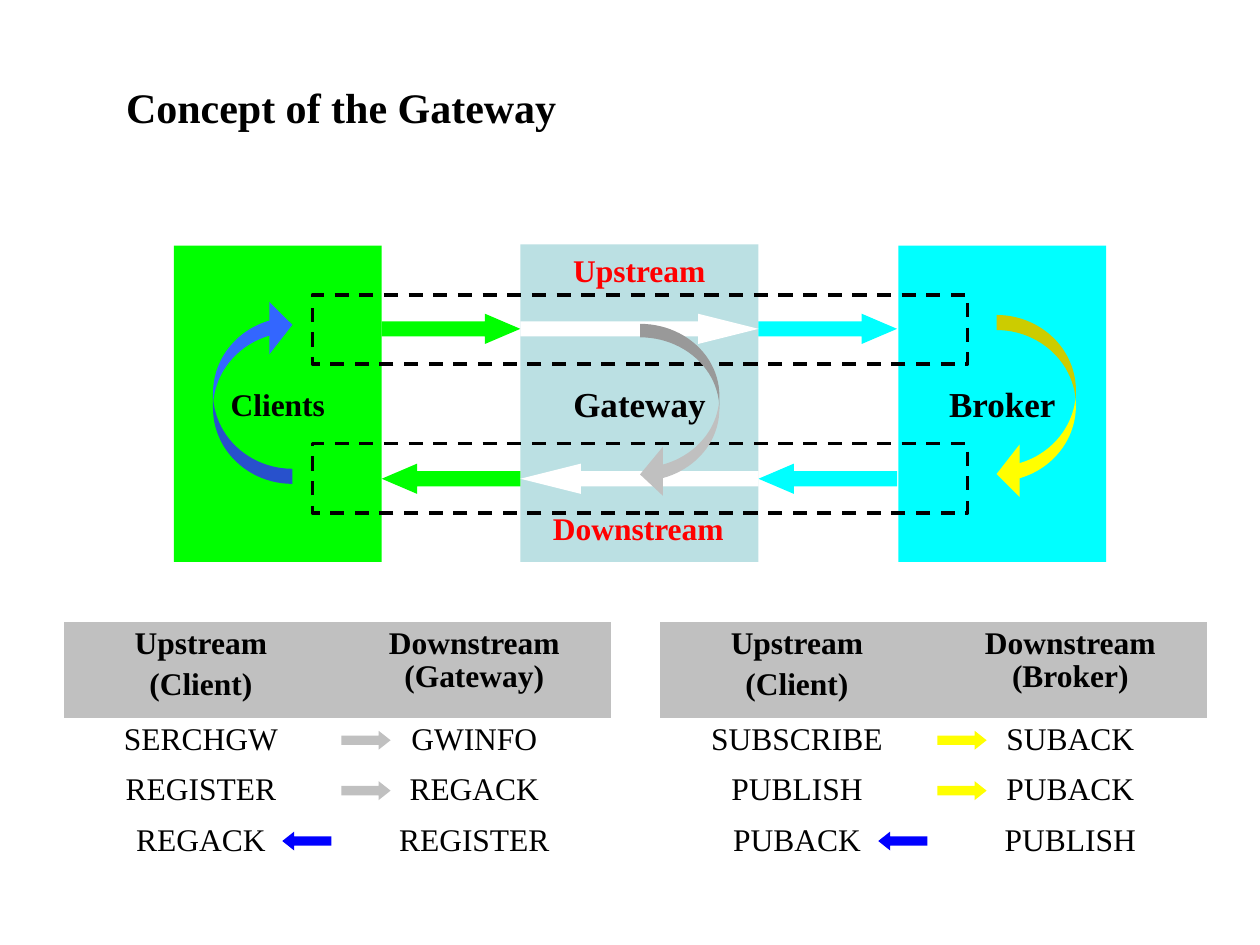
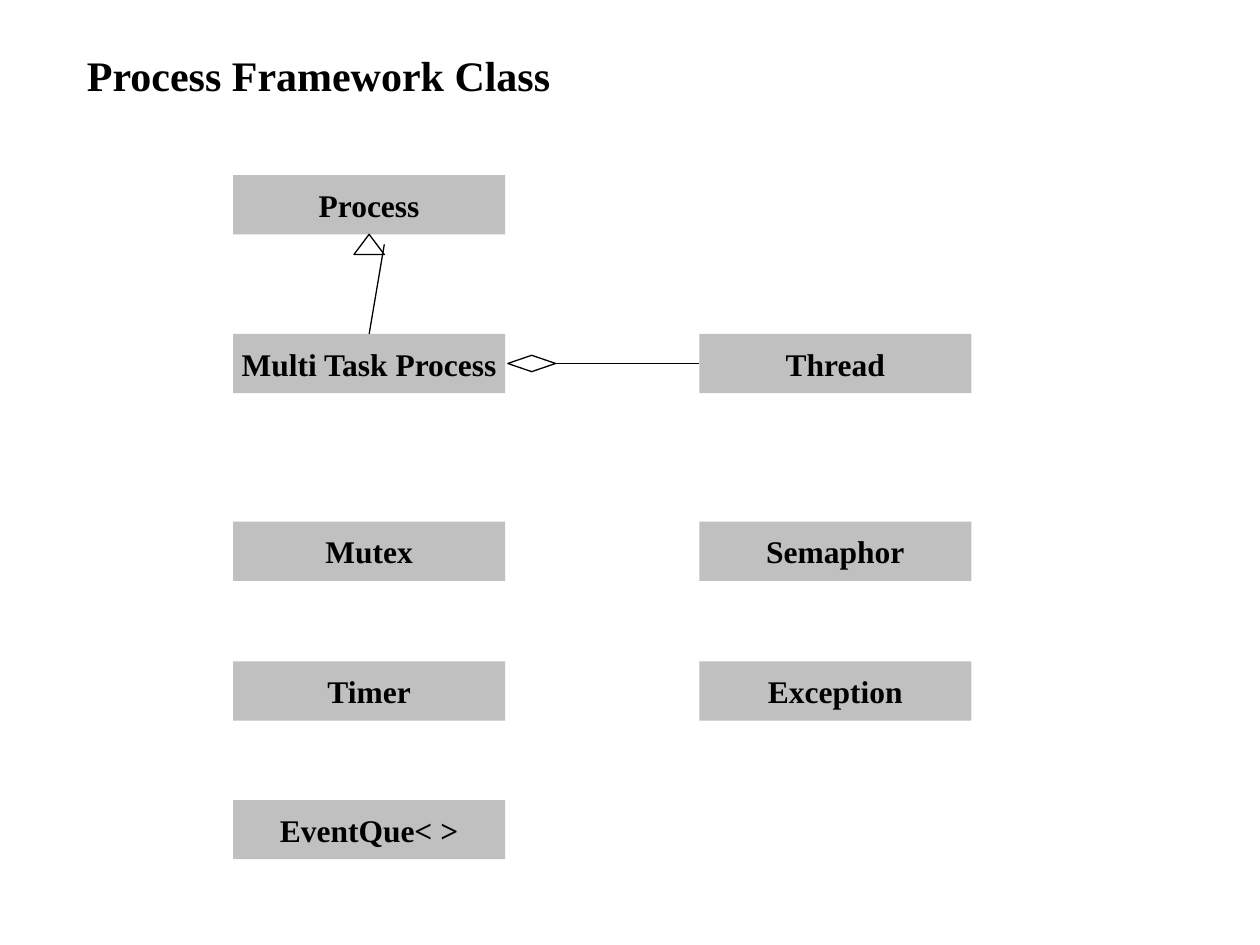
from lxml import etree
from pptx import Presentation
from pptx.dml.color import RGBColor
from pptx.enum import dml, shapes, text
from pptx.oxml import ns
from pptx.util import Inches, Pt

FONT = "Times New Roman"
BLACK = RGBColor(0, 0, 0)
WHITE = RGBColor(255, 255, 255)
GRAY = RGBColor(0xC0, 0xC0, 0xC0)
RED = RGBColor(255, 0, 0)
GREEN = RGBColor(0, 255, 0)
CYAN = RGBColor(0, 255, 255)
PALE = RGBColor(0xBB, 0xE0, 0xE3)
YELLOW = RGBColor(255, 255, 0)
BLUE = RGBColor(0, 0, 255)
AZURE = RGBColor(0x33, 0x66, 0xFF)
NO_GRID = "{2D5ABB26-0587-4C30-8999-92F81FD0307C}"

KIND = shapes.MSO_SHAPE
RECT, RIGHT, LEFT = KIND.RECTANGLE, KIND.RIGHT_ARROW, KIND.LEFT_ARROW
CENTER = text.PP_ALIGN.CENTER

NODES = [
    ("Clients", 1.38, 1.95, 1.65, 2.51, GREEN, 18),
    ("Broker", 7.13, 1.95, 1.65, 2.51, CYAN, 20),
    ("Gateway", 4.13, 1.94, 1.89, 2.52, PALE, 20),
]
LANES = [(RIGHT, 2.49, 2.34), (LEFT, 3.68, 3.52)]
HOPS = [(3.03, 1.1, GREEN, 1.17), (6.02, 1.1, CYAN, 1.17), (4.13, 1.89, WHITE, 2)]
LABELS = [("Upstream", 4.45, 1.94, 1.97), ("Downstream", 4.29, 3.99, 2.2)]
TURNS = [
    (7.91, 2.5, 1.47, YELLOW, 0, (0.19, 0.66, 0.29)),
    (1.69, 2.37, 1.47, AZURE, 180, (0.19, 0.66, 0.29)),
    (5.08, 2.57, 1.39, GRAY, 0, (0.17, 0.62, 0.29)),
]
TABLES = [
    (5.24, YELLOW, [
        ("Upstream\n(Client)", "Downstream\v(Broker)"),
        ("SUBSCRIBE", "SUBACK"),
        ("PUBLISH", "PUBACK"),
        ("PUBACK", "PUBLISH"),
    ]),
    (0.51, GRAY, [
        ("Upstream\n(Client)", "Downstream\v(Gateway)"),
        ("SERCHGW", "GWINFO"),
        ("REGISTER", "REGACK"),
        ("REGACK", "REGISTER"),
    ]),
]
TABLE_TOP, HEAD, ROW, COL = 4.94, 0.76, 0.4, 2.17

COLS = (1.85, 5.55)
CLASSES = [
    (1.39, ["Process"]),
    (2.65, ["Multi Task Process", "Thread"]),
    (4.14, ["Mutex", "Semaphor"]),
    (5.25, ["Timer", "Exception"]),
    (6.35, ["EventQue< >"]),
]


def write(frame, words, size=18, color=BLACK, bold=True, align=None, gap=None, lead=None):
    for i, line in enumerate(words.split("\n")):
        para = frame.add_paragraph() if i else frame.paragraphs[0]
        para.text = line
        para.alignment = align
        para.space_before = gap
        para.line_spacing = lead
        for run in para.runs:
            font = run.font
            font.name, font.size, font.bold = FONT, Pt(size), bold
            font.color.rgb = color


def place(x, y, w, h):
    return [Inches(n) for n in (x, y, w, h)]


def draw(slide, kind, box, fill=None, line=None, width=0.75, turn=0, adjust=()):
    shape = slide.shapes.add_shape(kind, *place(*box))
    shape.shadow.inherit = False
    shape.rotation = turn
    for i, value in enumerate(adjust):
        shape.adjustments[i] = value
    if fill is None:
        shape.fill.background()
    else:
        shape.fill.solid()
        shape.fill.fore_color.rgb = fill
    if line is None:
        shape.line.fill.background()
    else:
        shape.line.color.rgb = line
        shape.line.width = Pt(width)
    return shape


def block(slide, words, box, fill, size=18):
    shape = draw(slide, RECT, box, fill)
    frame = shape.text_frame
    frame.word_wrap = False
    frame.vertical_anchor = text.MSO_ANCHOR.MIDDLE
    write(frame, words, size=size, align=CENTER)
    return shape


def begin(deck, words, box):
    slide = deck.slides.add_slide(deck.slide_layouts[5])
    title = slide.shapes.title
    title.left, title.top, title.width, title.height = place(*box)
    frame = title.text_frame
    frame.word_wrap = False
    frame.auto_size = text.MSO_AUTO_SIZE.NONE
    frame.vertical_anchor = text.MSO_ANCHOR.TOP
    write(frame, words, size=24, align=text.PP_ALIGN.LEFT)
    return slide


def link(slide, start, site, end, goal):
    line = slide.shapes.add_connector(shapes.MSO_CONNECTOR.STRAIGHT, 0, 0, 0, 0)
    line.begin_connect(start, site)
    line.end_connect(end, goal)
    line.line.color.rgb = BLACK
    line.line.width = Pt(0.75)
    props = line._element.find(ns.qn("p:spPr"))
    etree.SubElement(props, ns.qn("a:effectLst"))


def grid(slide, x, color, rows):
    box = place(x, TABLE_TOP, 2 * COL, HEAD + 3 * ROW)
    table = slide.shapes.add_table(len(rows), 2, *box).table
    table.first_row = table.horz_banding = False
    table._tbl.tblPr.find(ns.qn("a:tableStyleId")).text = NO_GRID
    for r, row in enumerate(rows):
        table.rows[r].height = Inches(ROW if r else HEAD)
        for c, words in enumerate(row):
            cell = table.cell(r, c)
            if r:
                cell.fill.background()
            else:
                cell.fill.solid()
                cell.fill.fore_color.rgb = GRAY
            write(cell.text_frame, words, bold=r == 0, align=CENTER,
                  gap=Pt(4.5), lead=0.93)
    first = TABLE_TOP + HEAD + 0.1
    marks = [(2.2, color, RIGHT), (2.2, color, RIGHT), (1.73, BLUE, LEFT)]
    for i, (shift, fill, kind) in enumerate(marks):
        draw(slide, kind, (x + shift, first + i * ROW, 0.39, 0.15), fill,
             adjust=(0.5, 0.63))


def gateway(deck):
    slide = begin(deck, "Concept of the Gateway", (0.9, 0.6, 4.17, 0.5))
    for name, x, y, w, h, fill, size in NODES:
        block(slide, name, (x, y, w, h), fill, size)
    for kind, y, _ in LANES:
        for x, w, fill, tip in HOPS:
            draw(slide, kind, (x, y, w, 0.24), fill, adjust=(0.5, tip))
    for _, _, y in LANES:
        lane = draw(slide, RECT, (2.48, y, 5.2, 0.55), line=BLACK, width=2)
        lane.line.dash_style = dml.MSO_LINE.DASH
    for words, x, y, w in LABELS:
        frame = slide.shapes.add_textbox(*place(x, y, w, 0.4)).text_frame
        frame.word_wrap = True
        write(frame, words, color=RED)
    for x, y, h, fill, turn, adjust in TURNS:
        draw(slide, KIND.CURVED_LEFT_ARROW, (x, y, 0.63, h), fill,
             turn=turn, adjust=adjust)
    for x, color, rows in TABLES:
        grid(slide, x, color, rows)


def classes(deck):
    slide = begin(deck, "Process Framework Class", (0.59, 0.34, 3.88, 0.5))
    made = {}
    for y, names in CLASSES:
        for x, name in zip(COLS, names):
            made[name] = block(slide, name, (x, y, 2.16, 0.47), GRAY)
    task = made["Multi Task Process"]
    head = draw(slide, KIND.ISOSCELES_TRIANGLE, (2.81, 1.86, 0.24, 0.16), WHITE, BLACK)
    link(slide, head, 3, task, 0)
    gem = draw(slide, KIND.DIAMOND, (4.03, 2.82, 0.38, 0.13), WHITE, BLACK)
    link(slide, gem, 3, made["Thread"], 1)


def main():
    deck = Presentation()
    deck.slide_width, deck.slide_height = Inches(10), Inches(7.5)
    gateway(deck)
    classes(deck)
    deck.save("out.pptx")


if __name__ == "__main__":
    main()
